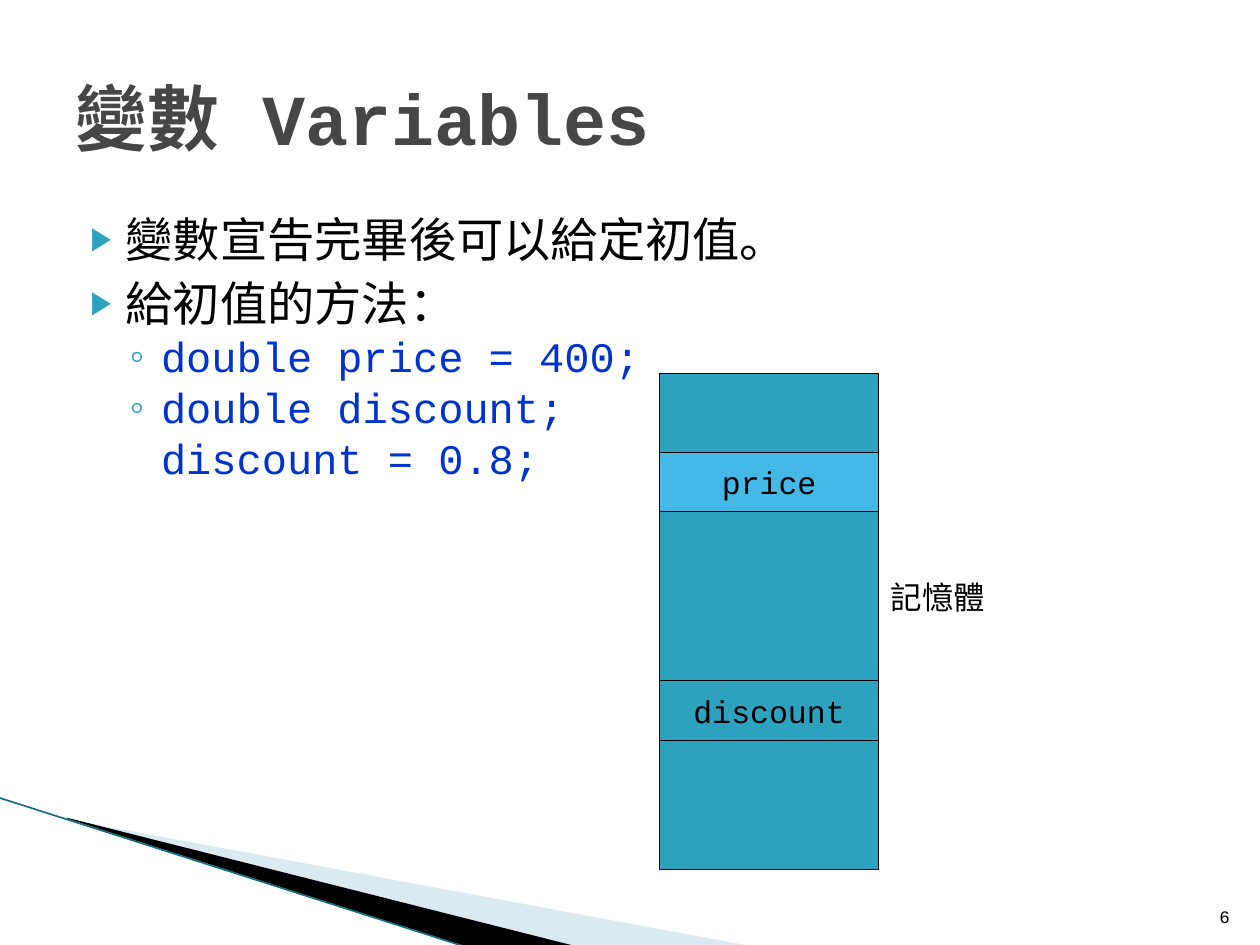
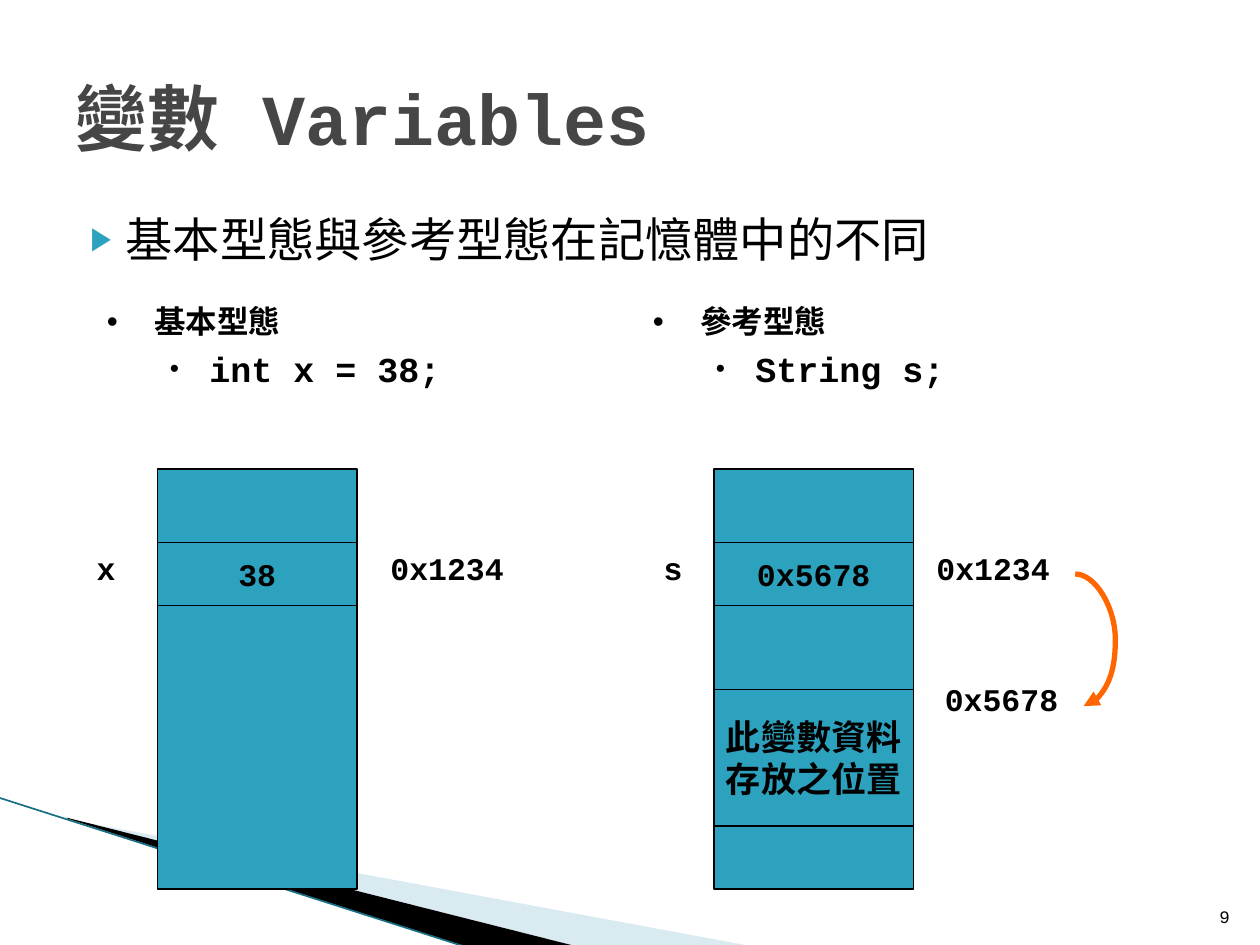
from dataclasses import dataclass
from typing import NamedTuple, Optional, Sequence

from lxml.etree import SubElement
from pptx import Presentation
from pptx.dml.color import RGBColor
from pptx.enum.shapes import MSO_CONNECTOR as Connector, MSO_SHAPE as Shape
from pptx.enum.text import MSO_ANCHOR as Anchor, MSO_AUTO_SIZE as AutoSize, PP_ALIGN as Align
from pptx.oxml.ns import qn
from pptx.util import Pt


@dataclass(frozen=True)
class Theme:
    font: str = "Courier New"
    bullet_font: str = "Arial"
    ink: str = "000000"
    title: str = "464646"
    accent: str = "2DA2BF"
    highlight: str = "44B9E8"
    code: str = "0033CC"
    arrow: str = "FF6600"
    pale: str = "D9EAF1"
    edge: str = "186E82"
    title_size: float = 41
    body_size: float = 27
    code_size: float = 24
    large_size: float = 20
    label_size: float = 18
    number_size: float = 10


THEME = Theme()


class Box(NamedTuple):
    left: float
    top: float
    width: float
    height: float

    def lengths(self) -> list:
        return [Pt(value) for value in self]


class Bullet(NamedTuple):
    char: str
    percent: int = 100
    color: Optional[str] = None


@dataclass(frozen=True)
class Style:
    size: float
    color: str = THEME.ink
    bold: bool = False
    align: Align = Align.LEFT
    margin: float = 0
    indent: float = 0
    before: float = 0
    spacing: Optional[float] = None
    bullet: Optional[Bullet] = None


class Line(NamedTuple):
    text: str
    style: Style


@dataclass(frozen=True)
class Cell:
    top: float
    height: float
    lines: Sequence[str]
    bold: bool = False
    size: float = THEME.label_size
    fill: str = THEME.accent


TITLE = Style(THEME.title_size, THEME.title, bold=True)
NUMBER = Style(THEME.number_size, align=Align.RIGHT)
POINT = Style(THEME.body_size, margin=28.8, indent=-20.16, before=4,
              bullet=Bullet("▶", 68, THEME.accent))
CODE = Style(THEME.code_size, THEME.code, margin=48.96, indent=-18, before=3.2,
             spacing=0.9, bullet=Bullet("◦", 100, THEME.accent))
CODE_MORE = Style(THEME.code_size, THEME.code, margin=48.96, before=3.2, spacing=0.9)
KIND = Style(THEME.label_size, bold=True, margin=27, indent=-27, before=3.6,
             bullet=Bullet("•"))
SAMPLE = Style(THEME.large_size, bold=True, margin=58.5, indent=-22.5, before=4,
               bullet=Bullet("•", 75))
LABEL = Style(THEME.label_size)
BOLD_LABEL = Style(THEME.label_size, bold=True)


def rgb(color: str) -> RGBColor:
    return RGBColor.from_string(color)


def set_bullet(para, bullet: Optional[Bullet]) -> None:
    props = para._p.get_or_add_pPr()
    if bullet is None:
        SubElement(props, qn("a:buNone"))
        return
    if bullet.color:
        holder = SubElement(props, qn("a:buClr"))
        SubElement(holder, qn("a:srgbClr"), val=bullet.color)
    SubElement(props, qn("a:buSzPct"), val=str(bullet.percent * 1000))
    SubElement(props, qn("a:buFont"), typeface=THEME.bullet_font)
    SubElement(props, qn("a:buChar"), char=bullet.char)


def write(frame, lines: Sequence[Line], *, anchor: Anchor = Anchor.TOP,
          wrap: bool = True) -> None:
    frame.word_wrap = wrap
    frame.auto_size = AutoSize.NONE
    frame.vertical_anchor = anchor
    for index, (text, style) in enumerate(lines):
        para = frame.paragraphs[0] if index == 0 else frame.add_paragraph()
        para.alignment = style.align
        para.space_before = Pt(style.before)
        if style.spacing:
            para.line_spacing = style.spacing
        props = para._p.get_or_add_pPr()
        props.set("marL", str(Pt(style.margin)))
        props.set("indent", str(Pt(style.indent)))
        set_bullet(para, style.bullet)
        span = para.add_run()
        span.text = text
        span.font.name = THEME.font
        span.font.size = Pt(style.size)
        span.font.bold = style.bold
        span.font.color.rgb = rgb(style.color)
        SubElement(span._r.get_or_add_rPr(), qn("a:ea"), typeface=THEME.font)


def add_text(page, box: Box, lines: Sequence[Line], *, anchor: Anchor = Anchor.TOP,
             wrap: bool = True) -> None:
    write(page.shapes.add_textbox(*box.lengths()).text_frame, lines,
          anchor=anchor, wrap=wrap)


def add_block(page, box: Box, fill: str):
    block = page.shapes.add_shape(Shape.RECTANGLE, *box.lengths())
    block.shadow.inherit = False
    block.fill.solid()
    block.fill.fore_color.rgb = rgb(fill)
    block.line.color.rgb = rgb(THEME.ink)
    block.line.width = Pt(0.75)
    return block


def add_memory(page, box: Box, cells: Sequence[Cell]) -> None:
    add_block(page, box, THEME.accent)
    for cell in cells:
        block = add_block(page, Box(box.left, cell.top, box.width, cell.height), cell.fill)
        style = Style(cell.size, bold=cell.bold, align=Align.CENTER)
        write(block.text_frame, [Line(text, style) for text in cell.lines],
              anchor=Anchor.MIDDLE, wrap=False)


def add_wedge(page, points: Sequence[tuple], fill: str) -> None:
    start, *rest = [(Pt(x), Pt(y)) for x, y in points]
    builder = page.shapes.build_freeform(*start)
    builder.add_line_segments(rest, close=True)
    wedge = builder.convert_to_shape()
    wedge.shadow.inherit = False
    wedge.fill.solid()
    wedge.fill.fore_color.rgb = rgb(fill)
    wedge.line.fill.background()


def add_line(page, kind: Connector, start: tuple, end: tuple, color: str, width: float):
    line = page.shapes.add_connector(kind, *[Pt(value) for value in start + end])
    line.line.color.rgb = rgb(color)
    line.line.width = Pt(width)
    SubElement(line._element.spPr, qn("a:effectLst"))
    return line


def add_curved_arrow(page, start: tuple, end: tuple, bulge: float) -> None:
    arrow = add_line(page, Connector.CURVE, start, end, THEME.arrow, 3)
    SubElement(arrow.line._get_or_add_ln(), qn("a:tailEnd"), type="triangle")
    guides = arrow._element.spPr.find(qn("a:prstGeom")).get_or_add_avLst()
    ratio = round(bulge / (end[0] - start[0]) * 100000)
    SubElement(guides, qn("a:gd"), name="adj1", fmla=f"val {ratio}")


def add_page(deck, number: int, points: Sequence[Line]):
    page = deck.slides.add_slide(deck.slide_layouts[5])
    add_wedge(page, [(39.6, 468.4), (428.4, 540.5), (328.3, 540.5)], THEME.pale)
    add_wedge(page, [(38.2, 467.3), (329, 540.7), (267.8, 541.4), (38.9, 468)], THEME.ink)
    add_line(page, Connector.STRAIGHT, (-0.7, 455.8), (267.1, 541.4), THEME.edge, 0.95)
    title = page.shapes.title
    title.left, title.top, title.width, title.height = Box(36, 21.6, 648, 90).lengths()
    write(title.text_frame, [Line("變數 Variables", TITLE)], anchor=Anchor.MIDDLE)
    add_text(page, Box(36, 116.6, 648, 40 if len(points) == 1 else 356.4), points)
    add_text(page, Box(681.1, 504.7, 28.8, 28.8), [Line(str(number), NUMBER)],
             anchor=Anchor.BOTTOM)
    return page


def build_initial_values(deck) -> None:
    page = add_page(deck, 6, [
        Line("變數宣告完畢後可以給定初值。", POINT),
        Line("給初值的方法：", POINT),
        Line("double price = 400;", CODE),
        Line("double discount;", CODE),
        Line("discount = 0.8;", CODE_MORE),
    ])
    add_memory(page, Box(377, 213.3, 125, 283.5), [
        Cell(258.5, 34, ["price"], fill=THEME.highlight),
        Cell(389, 34, ["discount"]),
    ])
    add_text(page, Box(502, 327, 113, 36), [Line("記憶體", LABEL)])


def build_type_comparison(deck) -> None:
    page = add_page(deck, 9, [Line("基本型態與參考型態在記憶體中的不同", POINT)])
    row, height = 310, 36
    columns = [
        (54, "基本型態", "int x = 38;", 90, [Cell(row, height, ["38"], bold=True)]),
        (366, "參考型態", "String s;", 408, [
            Cell(row, height, ["0x5678"], bold=True),
            Cell(394, 78, ["此變數資料", "存放之位置"], bold=True, size=THEME.large_size),
        ]),
    ]
    for left, kind, sample, memory_left, cells in columns:
        add_text(page, Box(left, 169.2, 300, 324), [Line(kind, KIND), Line(sample, SAMPLE)])
        add_memory(page, Box(memory_left, 268, 114, 240), cells)
    labels = [
        ("x", 48.2, row, 26.6), ("0x1234", 216, row, 86.4),
        ("s", 372.2, row, 23.8), ("0x1234", 528, row, 86.4),
        ("0x5678", 532.8, 385.2, 86.4),
    ]
    for text, left, top, width in labels:
        add_text(page, Box(left, top, width, height), [Line(text, BOLD_LABEL)], wrap=False)
    add_curved_arrow(page, (614.4, 328), (619.2, 403.5), 23)


def main() -> None:
    deck = Presentation()
    deck.slide_width, deck.slide_height = Pt(720), Pt(540)
    build_initial_values(deck)
    build_type_comparison(deck)
    deck.save("out.pptx")


main()
